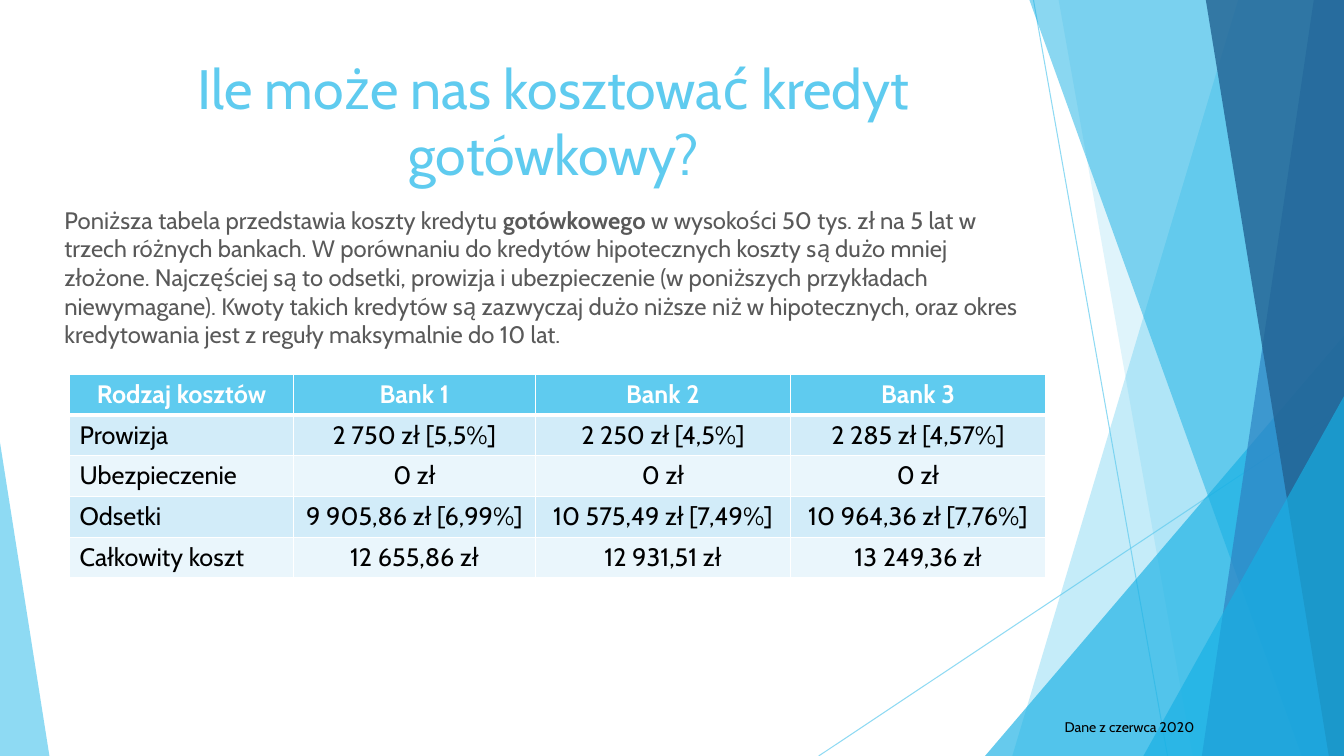
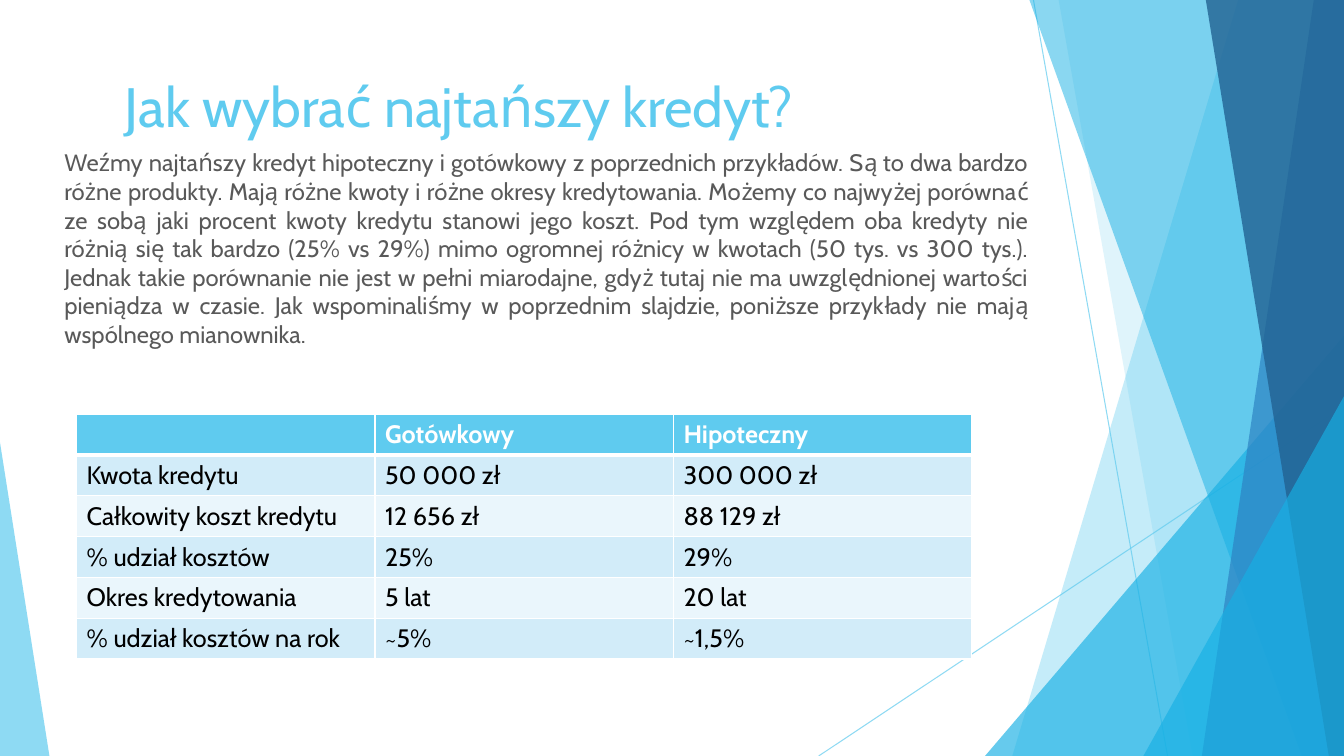
"""Build two slides on the cost of cash and mortgage loans."""
from lxml import etree
from pptx import Presentation
from pptx import util as u
from pptx.dml.color import RGBColor
from pptx.enum import shapes, text
from pptx.oxml import ns

FONT = "Cabin"
SKY = RGBColor(0x5F, 0xCB, 0xEF)
CYAN = RGBColor(0x17, 0xB0, 0xE4)
BLUE = RGBColor(0x2E, 0x83, 0xC3)
NAVY = RGBColor(0x22, 0x62, 0x92)
GREY = RGBColor(0x59, 0x59, 0x59)
BLACK = RGBColor(0, 0, 0)
WHITE = RGBColor(0xFF, 0xFF, 0xFF)
BAND_DARK = RGBColor(0xD2, 0xEC, 0xF9)
BAND_LIGHT = RGBColor(0xEA, 0xF6, 0xFC)
LEFT, CENTER, JUSTIFY = text.PP_ALIGN.LEFT, text.PP_ALIGN.CENTER, text.PP_ALIGN.JUSTIFY
TOP, MIDDLE = text.MSO_ANCHOR.TOP, text.MSO_ANCHOR.MIDDLE
WIDTH, HEIGHT = 13.33, 7.5

LINES = [(10.25, 0, 11.58, HEIGHT), (WIDTH, 4.03, 8.12, HEIGHT)]
# Panels are (top x, bottom x); triangles are (left, top, width, apex).
BANDS = [
    (SKY, 36, (12.28, 10.04)),
    (SKY, 20, (10.5, 11.83)),
    (CYAN, 66, (9.77, 3.33, 3.56, 1)),
    (CYAN, 50, (10.21, 12.91)),
    (BLUE, 70, (13.03, 11.92)),
    (NAVY, 80, (11.96, 13.18)),
    (CYAN, 66, (11.34, 3.93, 1.99, 1)),
    (SKY, 70, (0, 4.39, 0.49, 0)),
]

SLIDES = [
    {
        "texts": [
            ((0.68, 0.67, 9.62, 1.05), "Ile może nas kosztować kredyt gotówkowy?",
             dict(size=39.6, color=SKY, align=CENTER, anchor=MIDDLE)),
            ((0.54, 1.99, 9.76, 1.53),
             "Poniższa tabela przedstawia koszty kredytu *gotówkowego *w wysokości 50 tys. zł "
             "na 5 lat w trzech różnych bankach. W porównaniu do kredytów hipotecznych koszty "
             "są dużo mniej złożone. Najczęściej są to odsetki, prowizja i ubezpieczenie "
             "(w poniższych przykładach niewymagane). Kwoty takich kredytów są zazwyczaj dużo "
             "niższe niż w hipotecznych, oraz okres kredytowania jest z reguły maksymalnie "
             "do 10 lat.",
             dict(size=17, color=GREY)),
            ((10.46, 7.08, 2.35, 0.27), "Dane z czerwca 2020", dict(size=10)),
        ],
        "at": (0.69, 3.71),
        "cols": [2.22, 2.4, 2.53, 2.53],
        "header_align": CENTER,
        "value_align": CENTER,
        "rows": [
            ["Rodzaj kosztów", "Bank 1", "Bank 2", "Bank 3"],
            ["Prowizja", "2 750 zł [5,5%]", "2 250 zł [4,5%]", "2 285 zł [4,57%]"],
            ["Ubezpieczenie", "0 zł", "0 zł", "0 zł"],
            ["Odsetki", "9 905,86 zł [6,99%]", "10 575,49 zł [7,49%]", "10 964,36 zł [7,76%]"],
            ["Całkowity koszt", "12 655,86 zł", "12 931,51 zł", "13 249,36 zł"],
        ],
    },
    {
        "texts": [
            ((1.14, 0.65, 8.84, 0.8), "Jak wybrać najtańszy kredyt?",
             dict(size=39.6, color=SKY, anchor=MIDDLE)),
            ((0.54, 1.42, 9.76, 2.1),
             "Weźmy najtańszy kredyt hipoteczny i gotówkowy z poprzednich przykładów. Są to dwa "
             "bardzo różne produkty. Mają różne kwoty i różne okresy kredytowania. Możemy co "
             "najwyżej porównać ze sobą jaki procent kwoty kredytu stanowi jego koszt. Pod tym "
             "względem oba kredyty nie różnią się tak bardzo (25% vs 29%) mimo ogromnej różnicy "
             "w kwotach (50 tys. vs 300 tys.). Jednak takie porównanie nie jest w pełni "
             "miarodajne, gdyż tutaj nie ma uwzględnionej wartości pieniądza w czasie. Jak "
             "wspominaliśmy w poprzednim slajdzie, poniższe przykłady nie mają wspólnego "
             "mianownika.",
             dict(size=17, color=GREY, align=JUSTIFY)),
        ],
        "at": (0.76, 4.11),
        "cols": [2.96] * 3,
        "header_align": LEFT,
        "value_align": LEFT,
        "rows": [
            ["", "Gotówkowy", "Hipoteczny"],
            ["Kwota kredytu", "50 000 zł", "300 000 zł"],
            ["Całkowity koszt kredytu", "12 656 zł", "88 129 zł"],
            ["% udział kosztów", "25%", "29%"],
            ["Okres kredytowania", "5 lat", "20 lat"],
            ["% udział kosztów na rok", "~5%", "~1,5%"],
        ],
    },
]


def write(tf, content, size=18, color=BLACK, bold=False, align=LEFT, anchor=TOP):
    """Fill a text frame; parts between asterisks are bold."""
    tf.word_wrap = True
    tf.vertical_anchor = anchor
    p = tf.paragraphs[0]
    p.alignment = align
    for i, part in enumerate(content.split("*")):
        r = p.add_run()
        r.text = part
        r.font.name = FONT
        r.font.size = u.Pt(size)
        r.font.bold = bold or i % 2 == 1
        r.font.color.rgb = color


def set_alpha(sp, percent):
    """Set the opacity of the colour of a shape or connector."""
    color = next(sp._element.spPr.iter(ns.qn("a:srgbClr")))
    etree.SubElement(color, ns.qn("a:alpha"), val=str(percent * 1000))


prs = Presentation()
prs.slide_width, prs.slide_height = u.Inches(WIDTH), u.Inches(HEIGHT)

for page in SLIDES:
    s = prs.slides.add_slide(prs.slide_layouts[6])

    for ends in LINES:
        line = s.shapes.add_connector(shapes.MSO_CONNECTOR.STRAIGHT, *map(u.Inches, ends))
        line.line.color.rgb = SKY
        line.line.width = u.Pt(0.75)
        set_alpha(line, 70)
        etree.SubElement(line._element.spPr, ns.qn("a:effectLst"))

    for color, alpha, geometry in BANDS:
        if len(geometry) == 2:
            top_x, bottom_x = geometry
            outline = s.shapes.build_freeform(u.Inches(top_x), 0)
            corners = [(WIDTH, 0), (WIDTH, HEIGHT), (bottom_x, HEIGHT)]
            outline.add_line_segments([(u.Inches(x), u.Inches(y)) for x, y in corners])
            sp = outline.convert_to_shape()
        else:
            left, top, width, apex = geometry
            sp = s.shapes.add_shape(shapes.MSO_SHAPE.ISOSCELES_TRIANGLE,
                                    *map(u.Inches, (left, top, width, HEIGHT - top)))
            sp.adjustments[0] = apex
        sp.shadow.inherit = False
        sp.fill.solid()
        sp.fill.fore_color.rgb = color
        sp.line.fill.background()
        set_alpha(sp, alpha)

    for box, content, style in page["texts"]:
        write(s.shapes.add_textbox(*map(u.Inches, box)).text_frame, content, **style)

    rows, cols = page["rows"], page["cols"]
    size = (sum(cols), 0.405 * len(rows))
    table = s.shapes.add_table(len(rows), len(cols),
                               *map(u.Inches, page["at"] + size)).table
    for column, width in zip(table.columns, cols):
        column.width = u.Inches(width)
    for i, row in enumerate(rows):
        for j, content in enumerate(row):
            cell = table.cell(i, j)
            cell.fill.solid()
            cell.fill.fore_color.rgb = SKY if i == 0 else BAND_DARK if i % 2 else BAND_LIGHT
            if i == 0:
                style = dict(color=WHITE, bold=True, align=page["header_align"])
            else:
                style = dict(align=page["value_align"] if j else LEFT)
            if content:
                write(cell.text_frame, content, **style)
            borders = {"lnL": 1, "lnR": 1, "lnT": 3 if i == 1 else 1, "lnB": 3 if i == 0 else 1}
            for k, (side, points) in enumerate(borders.items()):
                ln = etree.Element(ns.qn("a:" + side), w=str(u.Pt(points)))
                fill = etree.SubElement(ln, ns.qn("a:solidFill"))
                etree.SubElement(fill, ns.qn("a:srgbClr"), val=str(WHITE))
                cell._tc.get_or_add_tcPr().insert(k, ln)

prs.save("out.pptx")
